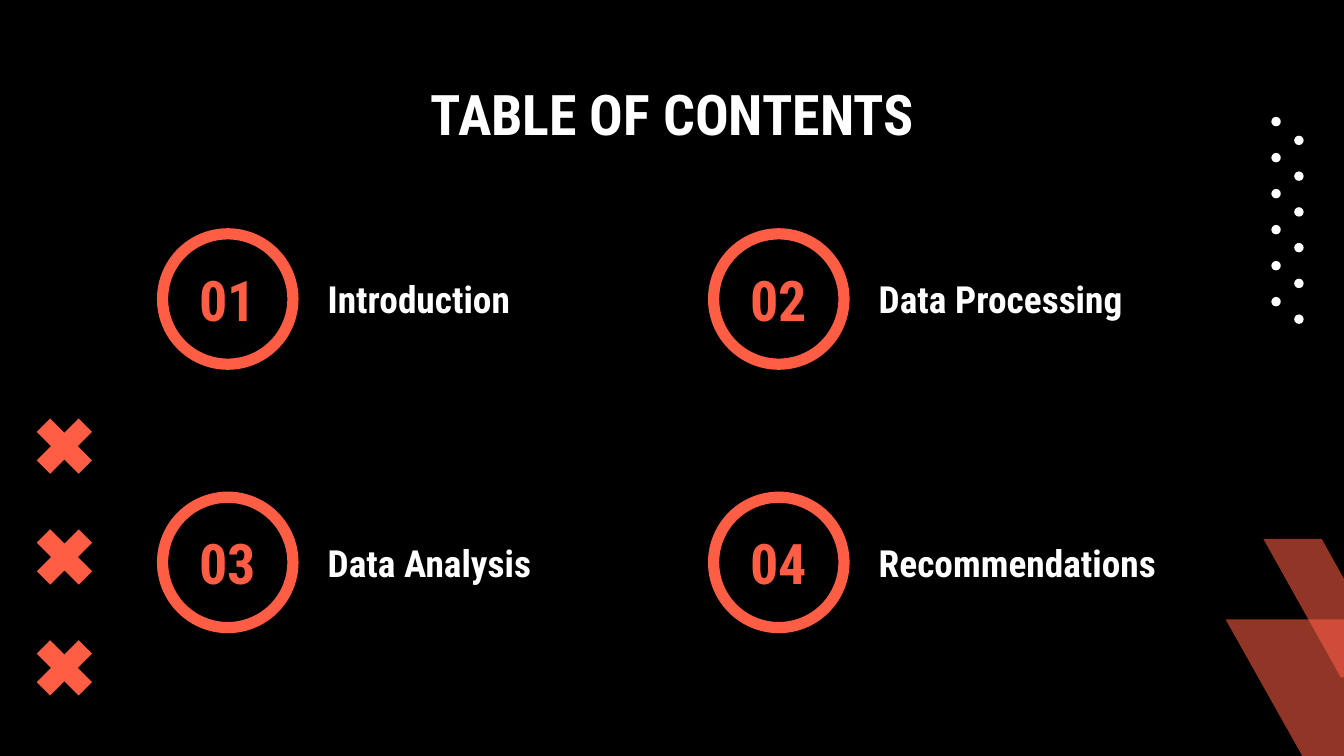
import pptx
import pptx.util
import pptx.dml.color
import pptx.enum.shapes
import pptx.enum.text
import pptx.oxml.ns
import lxml.etree

Inches = pptx.util.Inches
SHAPE = pptx.enum.shapes.MSO_SHAPE
ALIGN = pptx.enum.text.PP_ALIGN
ANCHOR = pptx.enum.text.MSO_ANCHOR

TITLE = "TABLE OF CONTENTS"
SECTIONS = ["Introduction", "Data Processing", "Data Analysis", "Recommendations"]
COLORS = {"background": "000000", "accent": "FF5E45", "text": "FFFFFF"}
FONT = "Roboto Condensed"

# left, top, width, height
BANDS = [(9.12, 4.61, 2.04, 2.07), (9.4, 4.01, 1.01, 1.03)]
BAND_ALPHA = 57
# left, first top, last top
DOT_COLUMNS = [(9.46, 0.87, 2.21), (9.63, 1.01, 2.34)]
DOTS, DOT_SIZE = 6, 0.07
CROSS_COLUMN = (0.18, 3.02, 4.67)
CROSSES, CROSS_SIZE = 3, 0.6
COLUMNS, GRID_LEFT, GRID_TOP, COLUMN_STEP, ROW_STEP = 2, 1.21, 1.74, 4.1, 1.96
RING_SIZE, LABEL_DX, LABEL_DY, LABEL_SIZE = 0.97, 1.13, 0.06, (2.37, 0.85)


def rgb(name):
    return pptx.dml.color.RGBColor.from_string(COLORS[name])


def add_shape(slide, kind, box, fill=None):
    s = slide.shapes.add_shape(kind, *map(Inches, box))
    s.shadow.inherit = False
    s.line.fill.background()
    if fill:
        s.fill.solid()
        s.fill.fore_color.rgb = rgb(fill)
    else:
        s.fill.background()
    return s


def set_text(s, text, size, color, align, anchor):
    tf = s.text_frame
    tf.text = text
    tf.word_wrap = True
    tf.vertical_anchor = anchor
    tf.margin_left = tf.margin_right = tf.margin_top = tf.margin_bottom = Inches(0.1)
    p = tf.paragraphs[0]
    p.alignment = align
    font = p.runs[0].font
    font.name, font.size, font.bold = FONT, pptx.util.Pt(size), True
    font.color.rgb = rgb(color)


def add_text(slide, box, *style):
    set_text(slide.shapes.add_textbox(*map(Inches, box)), *style)


def add_band(slide, box):
    """Add a translucent parallelogram that leans to the left."""
    s = add_shape(slide, SHAPE.PARALLELOGRAM, box, "accent")
    s.adjustments[0] = 0.57
    s._element.spPr.xfrm.set("flipH", "1")
    qn = pptx.oxml.ns.qn
    color = s._element.spPr.find(qn("a:solidFill")).find(qn("a:srgbClr"))
    lxml.etree.SubElement(color, qn("a:alpha")).set("val", str(BAND_ALPHA * 1000))


def add_column(slide, kind, column, count, size, fill):
    """Stack equal shapes at equal steps from the first top to the last."""
    left, first, last = column
    for i in range(count):
        top = first + i * (last - first) / (count - 1)
        add_shape(slide, kind, (left, top, size, size), fill)


def add_decoration(slide):
    for box in BANDS:
        add_band(slide, box)
    for column in DOT_COLUMNS:
        add_column(slide, SHAPE.OVAL, column, DOTS, DOT_SIZE, "text")
    add_column(slide, SHAPE.MATH_MULTIPLY, CROSS_COLUMN, CROSSES, CROSS_SIZE, "accent")


def add_section(slide, index, label):
    row, column = divmod(index, COLUMNS)
    left, top = GRID_LEFT + column * COLUMN_STEP, GRID_TOP + row * ROW_STEP
    ring = add_shape(slide, SHAPE.OVAL, (left, top, RING_SIZE, RING_SIZE))
    ring.line.color.rgb = rgb("accent")
    ring.line.width = pptx.util.Pt(6)
    set_text(ring, f"{index + 1:02}", 30, "accent", ALIGN.CENTER, ANCHOR.MIDDLE)
    add_text(slide, (left + LABEL_DX, top + LABEL_DY, *LABEL_SIZE),
             label, 20, "text", ALIGN.LEFT, ANCHOR.MIDDLE)


def main():
    prs = pptx.Presentation()
    prs.slide_width = Inches(10)
    prs.slide_height = prs.slide_width * 9 // 16
    slide = prs.slides.add_slide(prs.slide_layouts[6])
    slide.background.fill.solid()
    slide.background.fill.fore_color.rgb = rgb("background")
    add_decoration(slide)
    add_text(slide, (0.79, 0.49, 8.43, 0.63),
             TITLE, 30, "text", ALIGN.CENTER, ANCHOR.TOP)
    for index, label in enumerate(SECTIONS):
        add_section(slide, index, label)
    prs.save("out.pptx")


if __name__ == "__main__":
    main()
